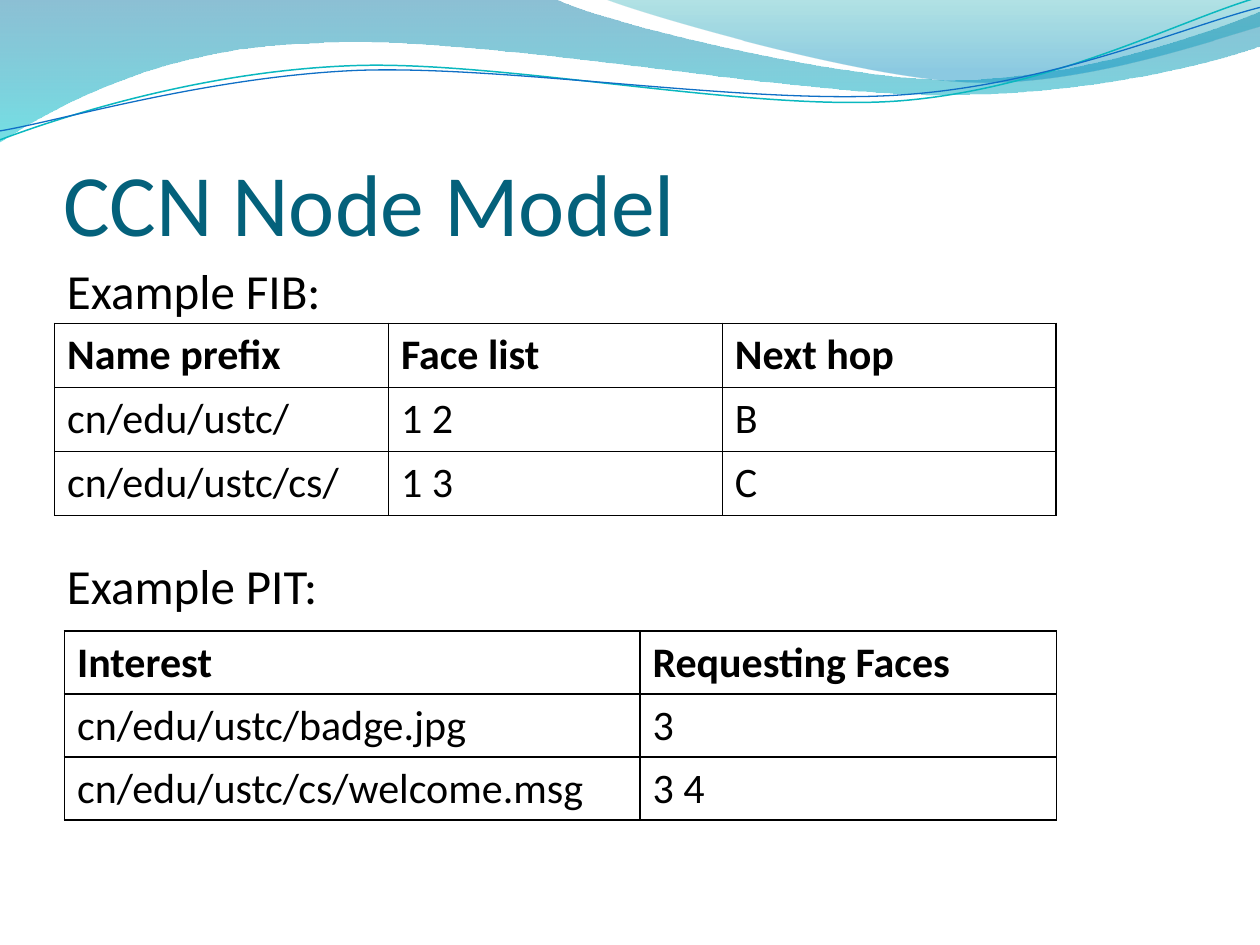
"""Build the CCN Node Model slide with example FIB and PIT tables."""
import lxml.etree
import pptx
import pptx.dml.color
import pptx.enum.text
import pptx.oxml.ns
import pptx.util

Cm = pptx.util.Cm
Pt = pptx.util.Pt
qn = pptx.oxml.ns.qn

FONT = "Calibri"
COLORS = {
    "background": "FFFFFF",
    "title": "04617B",
    "text": "000000",
    "border": "000000",
    "wave_blue": "0074A1",
    "wave_cyan": "00C6CF",
    "crest_teal": "00A1A9",
    "crest_blue": "008BBF",
    "line_teal": "0AB8BF",
    "line_blue": "0F6FC6",
}
WAVE = [
    (0, 0), (11.18, -0.03),
    (12.09, 0.43, 16.87, 1.6, 19.25, 1.6),
    (21.67, 1.6, 24.33, 0.66, 25.4, 0.23),
    (25.43, 0.91),
    (24.97, 1.12, 22.1, 1.93, 18.95, 1.91),
    (15.8, 1.91, 9.7, 0.71, 6.53, 0.86),
    (3.28, 0.91, 1.17, 2.11, -0.03, 2.87),
]
CREST = [
    (12.17, -0.03),
    (12.93, 0.28, 17.32, 1.57, 19.53, 1.65),
    (21.74, 1.75, 24.41, 0.81, 25.4, 0.53),
    (25.4, 0),
]
TEAL_LINE = [
    (-0.05, 2.22),
    (1.19, 1.82, 4.02, 1.04, 7.05, 1.06),
    (10.05, 1.07, 15.02, 2.37, 18.08, 2.29),
    (21.14, 2.2, 23.87, 0.91, 25.41, 0.55),
]
BLUE_LINE = [
    (-0.04, 2.04),
    (1.16, 1.9, 4.18, 1.15, 7.2, 1.16),
    (10.25, 1.19, 15.13, 2.25, 18.18, 2.17),
    (21.21, 2.1, 23.93, 1.06, 25.45, 0.75),
]
FIB = [
    ("Name prefix", "Face list", "Next hop"),
    ("cn/edu/ustc/", "1 2", "B"),
    ("cn/edu/ustc/cs/", "1 3", "C"),
]
PIT = [
    ("Interest", "Requesting Faces"),
    ("cn/edu/ustc/badge.jpg", "3"),
    ("cn/edu/ustc/cs/welcome.msg", "3 4"),
]


def rgb(name):
    """Return the named palette colour."""
    return pptx.dml.color.RGBColor.from_string(COLORS[name])


def style_paragraph(paragraph, size, color="text", bold=False):
    """Set the font of a paragraph."""
    paragraph.font.name = FONT
    paragraph.font.size = Pt(size)
    paragraph.font.bold = bold
    paragraph.font.color.rgb = rgb(color)


def add_outline(slide, segments, close):
    """Add a freeform whose six-number segments are cubic curves."""
    points = [(Cm(x), Cm(y)) for segment in segments
              for x, y in zip(segment[::2], segment[1::2])]
    builder = slide.shapes.build_freeform(*points[0])
    builder.add_line_segments(points[1:], close=close)
    shape = builder.convert_to_shape()
    shape.shadow.inherit = False
    lines = iter(list(shape.element.iter(qn("a:lnTo"))))
    for segment in segments[1:]:
        first = next(lines)
        if len(segment) == 6:
            curve = lxml.etree.Element(qn("a:cubicBezTo"))
            first.addprevious(curve)
            for line in (first, next(lines), next(lines)):
                curve.append(line[0])
                line.getparent().remove(line)
    return shape


def add_wave(slide, segments, stops):
    """Add a wave filled downwards with (position, colour, opacity) stops."""
    shape = add_outline(slide, segments, True)
    shape.line.fill.background()
    shape.fill.gradient()
    shape.fill.gradient_angle = 270
    for stop, (position, color, _) in zip(shape.fill.gradient_stops, stops):
        stop.position = position
        stop.color.rgb = rgb(color)
    for element, (_, _, opacity) in zip(shape.element.spPr.iter(qn("a:srgbClr")), stops):
        lxml.etree.SubElement(element, qn("a:alpha"), val=str(opacity * 1000))


def add_curve(slide, segments, color, width):
    """Add an open curved line, slightly tilted."""
    shape = add_outline(slide, segments, False)
    shape.rotation = 357.3
    shape.fill.background()
    shape.line.color.rgb = rgb(color)
    shape.line.width = Pt(width)


def set_title(slide, text):
    """Place and format the title placeholder."""
    title = slide.shapes.title
    title.left, title.top, title.width, title.height = Cm(1.27), Cm(1.95), Cm(22.86), Cm(3.18)
    frame = title.text_frame
    frame.text = text
    frame.vertical_anchor = pptx.enum.text.MSO_ANCHOR.BOTTOM
    frame.margin_left = frame.margin_right = frame.margin_bottom = 0
    frame.margin_top = Cm(0.13)
    paragraph = frame.paragraphs[0]
    paragraph.alignment = pptx.enum.text.PP_ALIGN.LEFT
    style_paragraph(paragraph, 50, "title")


def add_label(slide, text, top):
    """Add the heading above a table."""
    frame = slide.shapes.add_textbox(Cm(1.1), Cm(top), Cm(12.6), Cm(1.45)).text_frame
    frame.word_wrap = True
    frame.text = text
    style_paragraph(frame.paragraphs[0], 28)


def add_borders(cell):
    """Draw a thin line on all four sides of a cell."""
    properties = cell._tc.get_or_add_tcPr()
    for side in ("a:lnL", "a:lnR", "a:lnT", "a:lnB"):
        line = lxml.etree.SubElement(properties, qn(side), w=str(Pt(1)))
        fill = lxml.etree.SubElement(line, qn("a:solidFill"))
        lxml.etree.SubElement(fill, qn("a:srgbClr"), val=COLORS["border"])


def add_grid(slide, rows, left, top, widths, row_height):
    """Add an unfilled bordered table with a bold first row."""
    table = slide.shapes.add_table(
        len(rows), len(widths), Cm(left), Cm(top),
        Cm(sum(widths)), Cm(row_height * len(rows))).table
    table.horz_banding = False
    for column, width in zip(table.columns, widths):
        column.width = Cm(width)
    for row_index, row in enumerate(rows):
        for column_index, text in enumerate(row):
            cell = table.cell(row_index, column_index)
            cell.text = text
            style_paragraph(cell.text_frame.paragraphs[0], 24, bold=row_index == 0)
            add_borders(cell)
            cell.fill.background()


def main():
    """Build and save the slide."""
    presentation = pptx.Presentation()
    presentation.slide_width, presentation.slide_height = Cm(25.4), Cm(19.05)
    slide = presentation.slides.add_slide(presentation.slide_layouts[5])
    slide.background.fill.solid()
    slide.background.fill.fore_color.rgb = rgb("background")
    add_wave(slide, WAVE, [(0, "wave_blue", 45), (1, "wave_cyan", 55)])
    add_wave(slide, CREST, [(0, "crest_teal", 30), (0.8, "crest_blue", 45)])
    add_curve(slide, TEAL_LINE, "line_teal", 0.85)
    add_curve(slide, BLUE_LINE, "line_blue", 0.75)
    set_title(slide, "CCN Node Model")
    add_label(slide, "Example FIB:", 5.13)
    add_grid(slide, FIB, 1.1, 6.52, [6.73] * 3, 1.29)
    add_label(slide, "Example PIT:", 11.07)
    add_grid(slide, PIT, 1.3, 12.72, [11.6, 8.4], 1.27)
    presentation.save("out.pptx")


if __name__ == "__main__":
    main()
